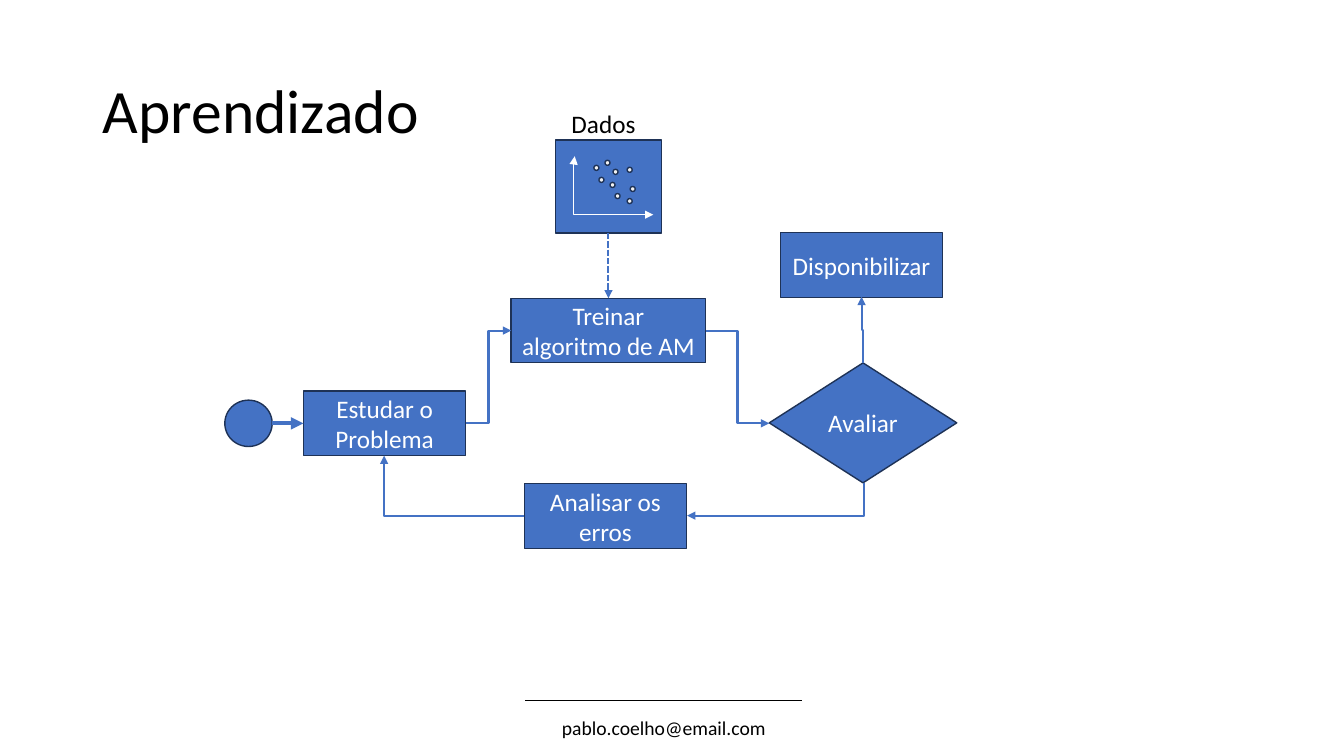
from dataclasses import dataclass

from lxml.etree import SubElement
from pptx import Presentation
from pptx.dml.color import RGBColor
from pptx.enum.dml import MSO_LINE
from pptx.enum.shapes import MSO_CONNECTOR, MSO_SHAPE
from pptx.enum.text import MSO_ANCHOR, MSO_AUTO_SIZE, PP_ALIGN
from pptx.oxml.ns import qn
from pptx.shapes.autoshape import Shape
from pptx.shapes.connector import Connector
from pptx.util import Inches, Pt


@dataclass(frozen=True)
class Theme:
    font: str = "Calibri"
    blue: str = "4472C4"
    outline: str = "1E3256"
    ink: str = "000000"
    white: str = "FFFFFF"
    dot: str = "F2F2F2"
    title_size: float = 44
    body_size: float = 18
    footer_size: float = 14


@dataclass(frozen=True)
class Step:
    text: str
    left: float
    top: float
    width: float = 1.61
    height: float = 0.64
    kind: MSO_SHAPE = MSO_SHAPE.RECTANGLE
    fill: str = Theme.blue


@dataclass(frozen=True)
class Route:
    start: tuple[float, float]
    end: tuple[float, float]
    rotation: int = 0
    preset: str = "bentConnector3"


THEME = Theme()
DOT_SIZE = 0.05
STEPS = {
    "start": Step("", 2.23, 3.97, 0.47, 0.46, MSO_SHAPE.OVAL),
    "study": Step("Estudar o Problema", 3.01, 3.88),
    "train": Step("Treinar algoritmo de AM", 5.07, 2.96, 1.93),
    "analyse": Step("Analisar os erros", 5.2, 4.8),
    "evaluate": Step("Avaliar", 7.63, 3.6, 1.86, 1.19, MSO_SHAPE.DIAMOND),
    "deploy": Step("Disponibilizar", 7.74, 2.31),
}
ROUTES = [
    Route((4.62, 4.2), (5.07, 3.28)),
    Route((3.81, 4.52), (5.2, 5.12), 180, "bentConnector2"),
    Route((7.53, 4.08), (7.85, 5.83), 90, "bentConnector2"),
    Route((7, 3.28), (7.63, 4.2)),
    Route((8.22, 3.28), (8.88, 3.27), 270),
]
DOTS = [(5.89, 1.64), (5.94, 1.76), (6.08, 1.68), (6, 1.59), (6.05, 1.81),
        (6.22, 1.97), (6.1, 1.92), (6.25, 1.85), (6.22, 1.66)]


def add_text(shape: Shape, text: str, size: float, color: str, align: PP_ALIGN) -> None:
    paragraph = shape.text_frame.paragraphs[0]
    paragraph.alignment = align
    run = paragraph.add_run()
    run.text = text
    run.font.name = THEME.font
    run.font.size = Pt(size)
    run.font.color.rgb = RGBColor.from_string(color)


def add_step(shapes, step: Step) -> Shape:
    shape = shapes.add_shape(step.kind, Inches(step.left), Inches(step.top),
                             Inches(step.width), Inches(step.height))
    shape.shadow.inherit = False
    shape.fill.solid()
    shape.fill.fore_color.rgb = RGBColor.from_string(step.fill)
    shape.line.color.rgb = RGBColor.from_string(THEME.outline)
    shape.line.width = Pt(1)
    if step.text:
        shape.text_frame.word_wrap = True
        shape.text_frame.vertical_anchor = MSO_ANCHOR.MIDDLE
        add_text(shape, step.text, THEME.body_size, THEME.white, PP_ALIGN.CENTER)
    return shape


def add_line(shapes, start: tuple[float, float], end: tuple[float, float], color: str,
             width: float, ends: tuple[str, ...] = ("tailEnd",),
             kind: MSO_CONNECTOR = MSO_CONNECTOR.STRAIGHT) -> Connector:
    line = shapes.add_connector(kind, *map(Inches, start + end))
    line.line.color.rgb = RGBColor.from_string(color)
    line.line.width = Pt(width)
    properties = line._element.spPr
    for end_name in ends:
        SubElement(properties.find(qn("a:ln")), qn(f"a:{end_name}"), type="triangle")
    SubElement(properties, qn("a:effectLst"))
    return line


def add_route(shapes, route: Route) -> None:
    line = add_line(shapes, route.start, route.end, THEME.blue, 1.5, kind=MSO_CONNECTOR.ELBOW)
    properties = line._element.spPr
    properties.find(qn("a:prstGeom")).set("prst", route.preset)
    if route.rotation:
        properties.find(qn("a:xfrm")).set("rot", str(route.rotation * 60000))


def add_label(shapes, text: str, left: float, top: float, width: float, height: float,
              size: float, align: PP_ALIGN) -> None:
    label = shapes.add_textbox(Inches(left), Inches(top), Inches(width), Inches(height))
    label.text_frame.word_wrap = True
    label.text_frame.auto_size = MSO_AUTO_SIZE.SHAPE_TO_FIT_TEXT
    add_text(label, text, size, THEME.ink, align)


def add_data_chart(shapes) -> Shape:
    group = shapes.add_group_shape().shapes
    data = add_step(group, Step("", 5.51, 1.39, 1.05, 0.92))
    axes = add_line(group, (5.7, 1.55), (6.48, 2.13), THEME.white, 0.5,
                    ("headEnd", "tailEnd"), MSO_CONNECTOR.ELBOW)
    guides = axes._element.spPr.find(qn("a:prstGeom")).get_or_add_avLst()
    SubElement(guides, qn("a:gd"), name="adj1", fmla="val -1300")
    for left, top in DOTS:
        add_step(group, Step("", left, top, DOT_SIZE, DOT_SIZE, MSO_SHAPE.OVAL, THEME.dot))
    return data


def main() -> None:
    presentation = Presentation()
    presentation.slide_width = Inches(13.33)
    presentation.slide_height = Inches(7.5)
    slide = presentation.slides.add_slide(presentation.slide_layouts[5])
    shapes = slide.shapes

    add_line(shapes, (5.21, 6.95), (7.95, 6.95), THEME.ink, 0.5, ())
    add_label(shapes, "pablo.coelho@email.com", 5.21, 7.05, 2.75, 0.34,
              THEME.footer_size, PP_ALIGN.CENTER)

    title = shapes.title
    title.left, title.top = Inches(0.92), Inches(0.4)
    title.width, title.height = Inches(11.5), Inches(1.45)
    title.text_frame.vertical_anchor = MSO_ANCHOR.MIDDLE
    title.text_frame.paragraphs[0].line_spacing = 0.9
    add_text(title, "Aprendizado", THEME.title_size, THEME.ink, PP_ALIGN.LEFT)

    flow = {name: add_step(shapes, step) for name, step in STEPS.items()}
    entry = add_line(shapes, (2.7, 4.2), (3.01, 4.2), THEME.blue, 3)
    entry.end_connect(flow["study"], 1)
    for route in ROUTES:
        add_route(shapes, route)

    data = add_data_chart(shapes)
    feed = add_line(shapes, (6.04, 2.31), (6.04, 2.96), THEME.blue, 1.5)
    feed.line.dash_style = MSO_LINE.SQUARE_DOT
    feed.begin_connect(data, 2)
    feed.end_connect(flow["train"], 0)
    add_label(shapes, "Dados", 5.57, 1.03, 0.96, 0.4, THEME.body_size, PP_ALIGN.LEFT)

    presentation.save("out.pptx")


if __name__ == "__main__":
    main()
